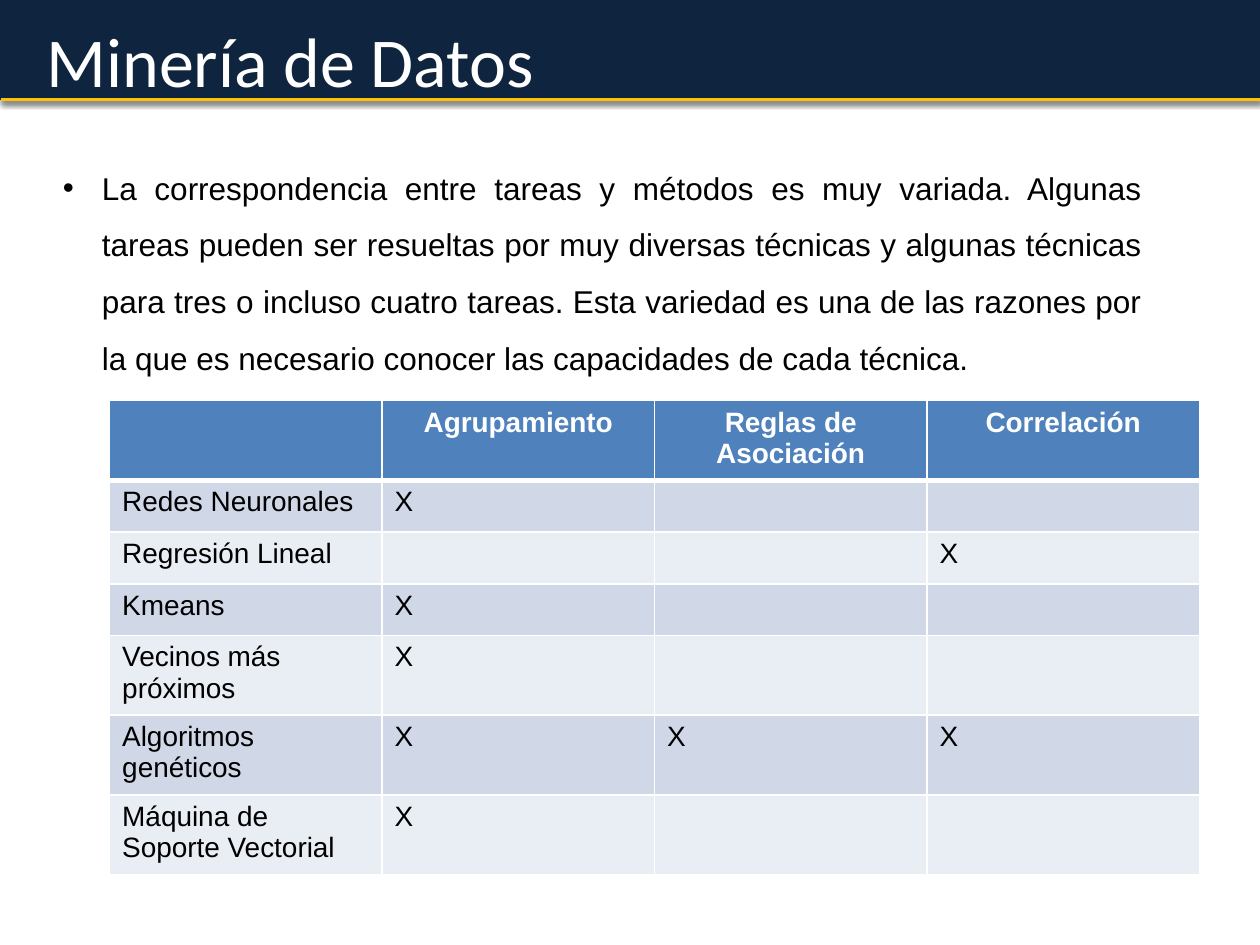
from lxml.etree import SubElement
from pptx import Presentation
from pptx.dml.color import RGBColor
from pptx.enum.shapes import MSO_CONNECTOR, MSO_SHAPE
from pptx.enum.text import MSO_ANCHOR, PP_ALIGN
from pptx.oxml.ns import qn
from pptx.util import Inches, Pt

TITLE = "Minería de Datos"
BODY = ("La correspondencia entre tareas y métodos es muy variada. Algunas tareas "
        "pueden ser resueltas por muy diversas técnicas y algunas técnicas para tres "
        "o incluso cuatro tareas. Esta variedad es una de las razones por la que es "
        "necesario conocer las capacidades de cada técnica.")
TASKS = ["", "Agrupamiento", "Reglas de Asociación", "Correlación"]
METHODS = [
    ("Redes Neuronales", "X", "", ""),
    ("Regresión Lineal", "", "", "X"),
    ("Kmeans", "X", "", ""),
    ("Vecinos más próximos", "X", "", ""),
    ("Algoritmos genéticos", "X", "X", "X"),
    ("Máquina de Soporte Vectorial", "X", "", ""),
]
COLORS = {"navy": "0F243E", "gold": "FFC105", "white": "FFFFFF", "black": "000000",
          "head": "4F81BD", "odd": "D0D8E8", "even": "E9EDF4"}
WIDE, HIGH = 10, 7.5
BAR = 0.79
ROW = 0.41


def color(name):
    return RGBColor.from_string(COLORS[name])


def box(*sides):
    return [Inches(side) for side in sides]


def write(para, text, face, size, tone, bold=False):
    run = para.add_run()
    run.text = text
    font = run.font
    font.name, font.size, font.bold = face, Pt(size), bold
    font.color.rgb = color(tone)


def shade(shape, alpha, dist):
    """Soft shadow straight below the shape."""
    props = shape._element.spPr
    for old in props.findall(qn("a:effectLst")):
        props.remove(old)
    glow = SubElement(SubElement(props, qn("a:effectLst")), qn("a:outerShdw"),
                      blurRad=str(Pt(3.1)), dist=str(Pt(dist)), dir="5400000",
                      rotWithShape="0")
    tint = SubElement(glow, qn("a:srgbClr"), val=COLORS["black"])
    SubElement(tint, qn("a:alpha"), val=str(alpha * 1000))


def border(cell, low):
    """White cell edges; low is the width of the bottom one."""
    props = cell._tc.get_or_add_tcPr()
    edges = (("lnL", 1), ("lnR", 1), ("lnT", 1), ("lnB", low))
    for spot, (tag, width) in enumerate(edges):
        edge = SubElement(props, qn("a:" + tag), w=str(Pt(width)))
        fill = SubElement(edge, qn("a:solidFill"))
        SubElement(fill, qn("a:srgbClr"), val=COLORS["white"])
        props.insert(spot, edge)


deck = Presentation()
deck.slide_width, deck.slide_height = box(WIDE, HIGH)
slide = deck.slides.add_slide(deck.slide_layouts[5])
shapes = slide.shapes

# Title band, placed behind the title
band = shapes.add_shape(MSO_SHAPE.RECTANGLE, *box(0, 0, WIDE, BAR))
band.fill.solid()
band.fill.fore_color.rgb = color("navy")
band.line.color.rgb = color("navy")
band.line.width = Pt(0.75)
shade(band, 35, 1.8)
shapes._spTree.insert(2, band._element)

# Title
title = shapes.title
title.left, title.top, title.width, title.height = box(0.17, 0.23, 9, 0.49)
frame = title.text_frame
frame.vertical_anchor = MSO_ANCHOR.MIDDLE
frame.margin_left, frame.margin_right = box(0.2, 0.1)
frame.margin_top = frame.margin_bottom = 0
para = frame.paragraphs[0]
para.alignment = PP_ALIGN.LEFT
write(para, TITLE, "Calibri", 40, "white")

# Gold rule
rule = shapes.add_connector(MSO_CONNECTOR.STRAIGHT, *box(0.01, BAR, WIDE + 0.01, BAR))
rule.line.color.rgb = color("gold")
rule.line.width = Pt(2)
shade(rule, 38, 1.6)

# Bulleted paragraph
note = shapes.add_textbox(*box(0.4, 1.14, 8.76, 2.98))
note.text_frame.word_wrap = True
para = note.text_frame.paragraphs[0]
para.alignment = PP_ALIGN.JUSTIFY
para.line_spacing = 1.5
props = para._p.get_or_add_pPr()
props.set("marL", str(Inches(0.31)))
props.set("indent", str(-Inches(0.31)))
SubElement(props, qn("a:buFont"), typeface="Arial")
SubElement(props, qn("a:buChar"), char="•")
write(para, BODY, "Arial", 18, "black")

# Table of methods by task
rows = [TASKS, *METHODS]
table = shapes.add_table(len(rows), len(TASKS),
                         *box(0.87, 3.18, 8.65, ROW * len(rows))).table
for i, row in enumerate(rows):
    table.rows[i].height = Inches(ROW)
    head = i == 0
    tone = "head" if head else "odd" if i % 2 else "even"
    for j, text in enumerate(row):
        cell = table.cell(i, j)
        cell.fill.solid()
        cell.fill.fore_color.rgb = color(tone)
        border(cell, 3 if head else 1)
        para = cell.text_frame.paragraphs[0]
        para.alignment = PP_ALIGN.CENTER if head else PP_ALIGN.LEFT
        if text:
            write(para, text, "Arial", 16, "white" if head else "black", head)

deck.save("out.pptx")
